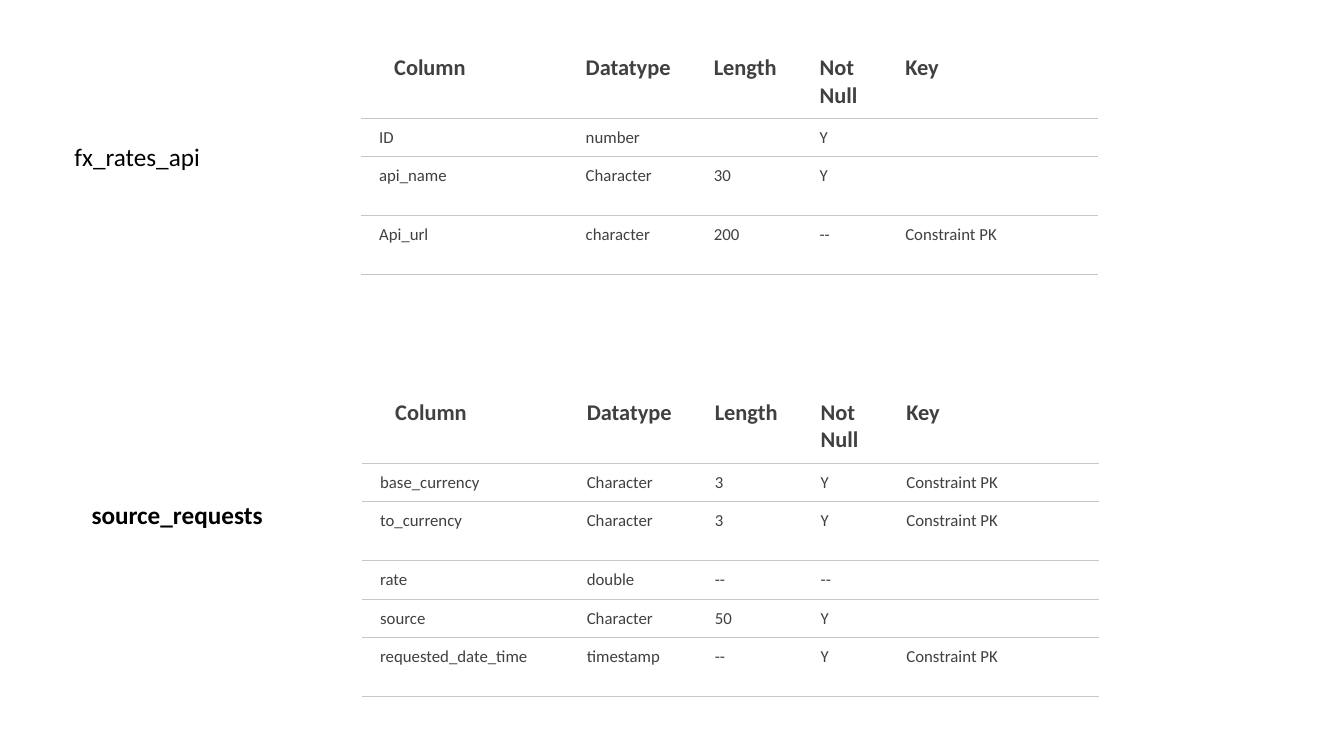
from lxml import etree
from pptx import Presentation
from pptx.dml.color import RGBColor
from pptx.oxml.ns import qn
from pptx.util import Inches, Pt

BLACK = RGBColor(0x00, 0x00, 0x00)
DARK_GRAY = RGBColor(0x40, 0x40, 0x40)
RULE_GRAY = RGBColor(0xC7, 0xC6, 0xC1)
FONT = "Calibri"
PLAIN_TABLE = "{2D5ABB26-0587-4C30-8999-92F81FD0307C}"

HEADER = ("Column", "Datatype", "Length", "Not Null", "Key")
COL_WIDTHS = (2.05, 1.27, 1.05, 0.85, 2.09)
HEADER_ROW, SHORT_ROW, TALL_ROW = 0.72, 0.38, 0.585
PK = "Constraint PK"

FX_RATES_API = (
    (SHORT_ROW, ("ID", "number", "", "Y", "")),
    (TALL_ROW, ("api_name", "Character", "30", "Y", "")),
    (TALL_ROW, ("Api_url", "character", "200", "--", PK)),
)
SOURCE_REQUESTS = (
    (SHORT_ROW, ("base_currency", "Character", "3", "Y", PK)),
    (TALL_ROW, ("to_currency", "Character", "3", "Y", PK)),
    (SHORT_ROW, ("rate", "double", "--", "--", "")),
    (SHORT_ROW, ("source", "Character", "50", "Y", "")),
    (TALL_ROW, ("requested_date_time", "timestamp", "--", "Y", PK)),
)


class SlideBuilder:
    """Holds the current slide and the shared style."""

    def __init__(self, slide):
        """Keep the slide to draw on."""
        self.s = slide

    def run(self, p, text, size, color, bold=False):
        """Add one styled run to a paragraph."""
        r = p.add_run()
        r.text = text
        r.font.name = FONT
        r.font.size = Pt(size)
        r.font.bold = bold
        r.font.color.rgb = color

    def label(self, left, top, width, text, bold=False):
        """Add the name of a database table."""
        sp = self.s.shapes.add_textbox(
            Inches(left), Inches(top), Inches(width), Inches(0.4))
        tf = sp.text_frame
        tf.word_wrap = True
        self.run(tf.paragraphs[0], text, 18, BLACK, bold)

    def cell(self, cell, text, is_header):
        """Fill one cell and rule its bottom edge."""
        cell.margin_left, cell.margin_right = Inches(0.18), Inches(0.13)
        cell.margin_top = cell.margin_bottom = Inches(0.09)
        cell.fill.background()
        ln = etree.Element(qn("a:lnB"), w=str(Pt(0.75)))
        fill = etree.SubElement(ln, qn("a:solidFill"))
        etree.SubElement(fill, qn("a:srgbClr"), val=str(RULE_GRAY))
        cell._tc.get_or_add_tcPr().insert(0, ln)
        p = cell.text_frame.paragraphs[0]
        size = 16 if is_header else 12
        if text:
            self.run(p, text, size, DARK_GRAY, is_header)
        else:
            etree.SubElement(p._p, qn("a:endParaRPr"), sz=str(size * 100))

    def table(self, left, top, body):
        """Add a column listing under the common header."""
        rows = ((HEADER_ROW, HEADER),) + body
        frame = self.s.shapes.add_table(
            len(rows), len(HEADER), Inches(left), Inches(top),
            Inches(sum(COL_WIDTHS)), Inches(sum(height for height, _ in rows)))
        table = frame.table
        table.first_row = True
        table.horz_banding = False
        table._tbl.tblPr.find(qn("a:tableStyleId")).text = PLAIN_TABLE
        for column, width in zip(table.columns, COL_WIDTHS):
            column.width = Inches(width)
        for i, (height, texts) in enumerate(rows):
            table.rows[i].height = Inches(height)
            for j, text in enumerate(texts):
                self.cell(table.cell(i, j), text, i == 0)
        first = table.cell(0, 0).text_frame.paragraphs[0]
        first._p.get_or_add_pPr().set("marL", str(Inches(0.15)))


def main():
    """Build the slide and save it."""
    prs = Presentation()
    prs.slide_width, prs.slide_height = Inches(13.33), Inches(7.5)
    s = SlideBuilder(prs.slides.add_slide(prs.slide_layouts[6]))
    s.table(3.58, 0.45, FX_RATES_API)
    s.table(3.59, 3.87, SOURCE_REQUESTS)
    s.label(0.64, 1.35, 2.93, "fx_rates_api")
    s.label(0.81, 4.9, 2.07, "source_requests", bold=True)
    prs.save("out.pptx")


main()
